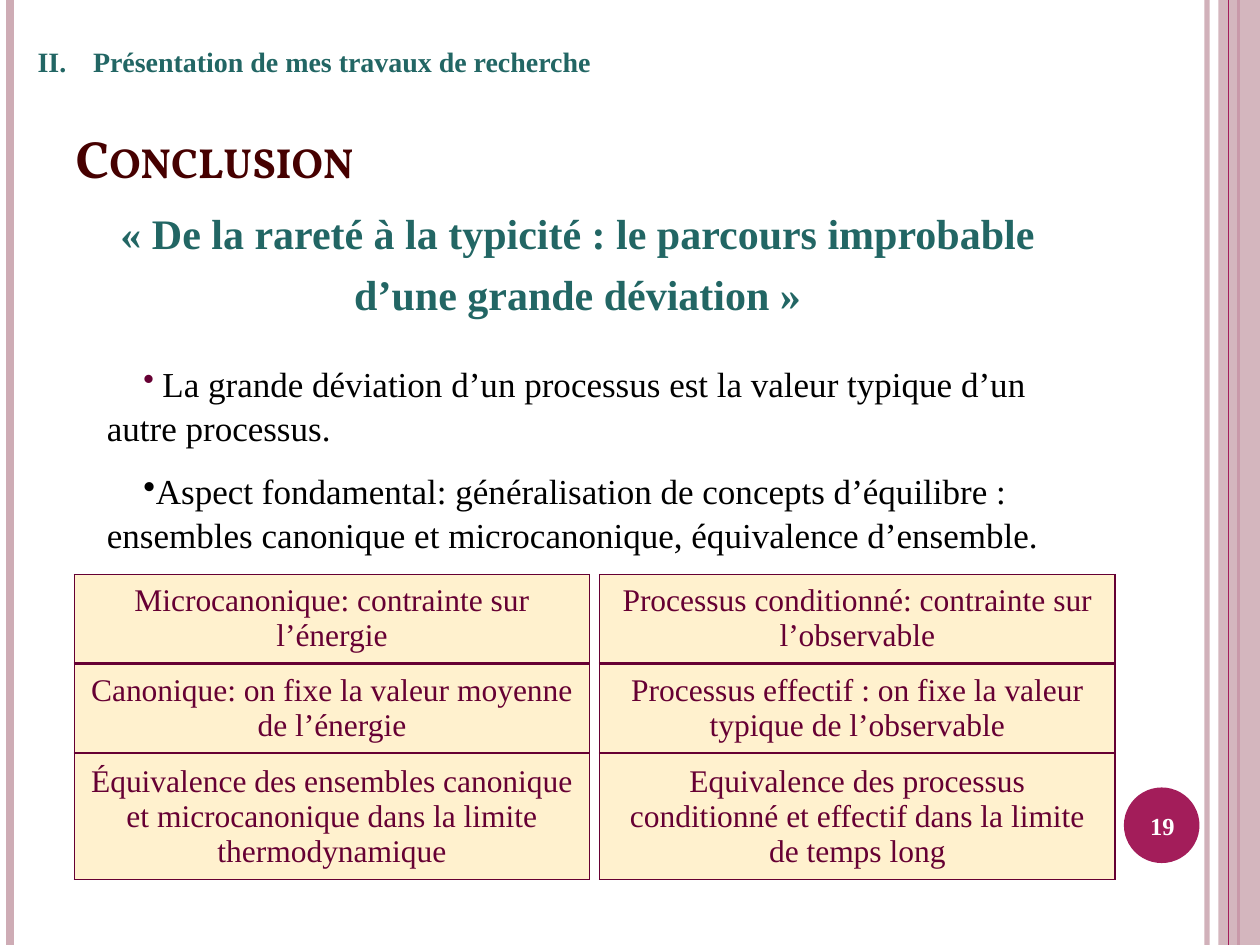
from lxml import etree
from pptx import Presentation
from pptx.dml.color import RGBColor
from pptx.enum.shapes import MSO_CONNECTOR, MSO_SHAPE
from pptx.enum.text import MSO_ANCHOR, MSO_AUTO_SIZE, PP_ALIGN
from pptx.oxml.ns import qn
from pptx.util import Inches, Pt

STRAIGHT = MSO_CONNECTOR.STRAIGHT
RECTANGLE, OVAL = MSO_SHAPE.RECTANGLE, MSO_SHAPE.OVAL
TOP, MIDDLE, BOTTOM = MSO_ANCHOR.TOP, MSO_ANCHOR.MIDDLE, MSO_ANCHOR.BOTTOM
LEFT, CENTER = PP_ALIGN.LEFT, PP_ALIGN.CENTER
NO_FIT = MSO_AUTO_SIZE.NONE

PINK = RGBColor(0xCE, 0xAC, 0xB5)
MAGENTA = RGBColor(0xA3, 0x1D, 0x5A)
MAROON = RGBColor(0x46, 0x00, 0x00)
TEAL = RGBColor(0x22, 0x66, 0x64)
PLUM = RGBColor(0x66, 0x00, 0x33)
CREAM = RGBColor(0xFF, 0xF1, 0xCE)
WHITE = RGBColor(0xFF, 0xFF, 0xFF)
BLACK = RGBColor(0x00, 0x00, 0x00)

COLUMNS = [
    (0.59, [
        "Microcanonique: contrainte sur l’énergie",
        "Canonique: on fixe la valeur moyenne de l’énergie",
        "Équivalence des ensembles canonique et microcanonique dans la limite thermodynamique",
    ]),
    (4.76, [
        "Processus conditionné: contrainte sur l’observable",
        "Processus effectif : on fixe la valeur typique de l’observable",
        "Equivalence des processus conditionné et effectif dans la limite de temps long",
    ]),
]
ROWS = [(4.56, 0.7), (5.27, 0.7), (5.98, 1)]


class SlideBuilder:
    font = "Times New Roman"

    def __init__(self, deck):
        self.page = deck.slides.add_slide(deck.slide_layouts[5])

    def style(self, para, size, color, bold=False, align=LEFT, font=None):
        para.alignment = align
        para.font.name = font or self.font
        para.font.size = Pt(size)
        para.font.bold = bold
        para.font.color.rgb = color

    def set_alpha(self, fill_parent, percent):
        color = fill_parent.find(".//" + qn("a:srgbClr"))
        etree.SubElement(color, qn("a:alpha"), val=str(percent * 1000))

    def rule(self, x, color, width, alpha=100):
        line = self.page.shapes.add_connector(
            STRAIGHT, Inches(x), 0, Inches(x), Inches(7.5))
        line.line.color.rgb = color
        line.line.width = Pt(width)
        properties = line._element.spPr
        if alpha < 100:
            self.set_alpha(properties, alpha)
        etree.SubElement(properties, qn("a:effectLst"))

    def shape(self, kind, x, y, width, height, color, alpha=100):
        shape = self.page.shapes.add_shape(
            kind, Inches(x), Inches(y), Inches(width), Inches(height))
        shape.shadow.inherit = False
        shape.fill.solid()
        shape.fill.fore_color.rgb = color
        shape.line.fill.background()
        if alpha < 100:
            self.set_alpha(shape._element.spPr, alpha)

    def title(self, text, x, y, width, height):
        box = self.page.shapes.title
        box.left, box.top = Inches(x), Inches(y)
        box.width, box.height = Inches(width), Inches(height)
        frame = box.text_frame
        frame.auto_size = NO_FIT
        frame.vertical_anchor = BOTTOM
        frame.text = text
        para = frame.paragraphs[0]
        self.style(para, 30, MAROON, True, font="Vollkorn")
        para.runs[0].font._element.set("cap", "small")

    def text(self, lines, x, y, width, height, anchor=TOP, before=0):
        box = self.page.shapes.add_textbox(
            Inches(x), Inches(y), Inches(width), Inches(height))
        frame = box.text_frame
        frame.word_wrap = True
        frame.vertical_anchor = anchor
        frame.text = "\n".join(lines)
        for para in frame.paragraphs[1:]:
            para.space_before = Pt(before)
        return frame.paragraphs

    def bullet(self, para, tag, left, indent, **attributes):
        properties = para._p.get_or_add_pPr()
        properties.set("marL", str(Inches(left)))
        properties.set("indent", str(Inches(indent)))
        etree.SubElement(properties, qn(tag), **attributes)

    def panel(self, text, x, y, width, height):
        frame = self.page.shapes.add_table(
            1, 1, Inches(x), Inches(y), Inches(width), Inches(height))
        frame.table.first_row = False
        frame.table.horz_banding = False
        cell = frame.table.cell(0, 0)
        properties = cell._tc.get_or_add_tcPr()
        for side in ("a:lnL", "a:lnR", "a:lnT", "a:lnB"):
            border = etree.SubElement(properties, qn(side), w=str(Pt(1)))
            paint = etree.SubElement(border, qn("a:solidFill"))
            etree.SubElement(paint, qn("a:srgbClr"), val=str(PLUM))
        cell.fill.solid()
        cell.fill.fore_color.rgb = CREAM
        cell.vertical_anchor = MIDDLE
        cell.text = text
        self.style(cell.text_frame.paragraphs[0], 18, PLUM, align=CENTER)


def main():
    deck = Presentation()
    deck.slide_width, deck.slide_height = Inches(10), Inches(7.5)
    slide = SlideBuilder(deck)

    slide.rule(9.58, PINK, 3, alpha=93)
    slide.rule(0.08, PINK, 4.5)
    slide.rule(9.83, MAGENTA, 1.5)
    slide.shape(RECTANGLE, 9.67, 0, 0.33, 7.5, PINK, alpha=87)
    slide.rule(9.75, MAGENTA, 0.75)
    slide.shape(OVAL, 8.92, 6.25, 0.6, 0.6, MAGENTA)

    slide.title("Conclusion", 0.5, 0.84, 8.99, 0.71)
    number = slide.text(["19"], 8.89, 6.27, 0.67, 0.57, MIDDLE)[0]
    slide.style(number, 14, WHITE, True, CENTER)

    section = slide.text(["Présentation de mes travaux de recherche"],
                         0.2, 0.29, 6.61, 0.4, MIDDLE)[0]
    slide.bullet(section, "a:buAutoNum", 0.44, -0.44,
                 type="romanUcPeriod", startAt="2")
    slide.style(section, 16, TEAL, True)

    quote = ["«\u00a0De la rareté à la typicité : le parcours improbable",
             "d’une grande déviation\u00a0»"]
    for para in slide.text(quote, 0.5, 1.6, 8.17, 1.16, before=6):
        slide.style(para, 24, TEAL, True, CENTER)

    points = [
        " ",
        "Aspect fondamental: généralisation de concepts d’équilibre : "
        "ensembles canonique et microcanonique, équivalence d’ensemble.",
    ]
    paragraphs = slide.text(points, 0.75, 2.81, 8.03, 1.62, before=11)
    for para in paragraphs:
        slide.bullet(para, "a:buChar", 0, 0.29, char="•")
        para.line_spacing = 1.05
        slide.style(para, 20, BLACK)
    lead = paragraphs[0].runs[0]
    lead.font.size = Pt(18)
    lead.font.color.rgb = PLUM
    span = paragraphs[0].add_run()
    span.text = ("La grande déviation d’un processus est la valeur typique "
                 "d’un autre processus.")

    for x, texts in COLUMNS:
        for text, (y, height) in zip(texts, ROWS):
            slide.panel(text, x, y, 4.09, height)

    deck.save("out.pptx")


if __name__ == "__main__":
    main()
